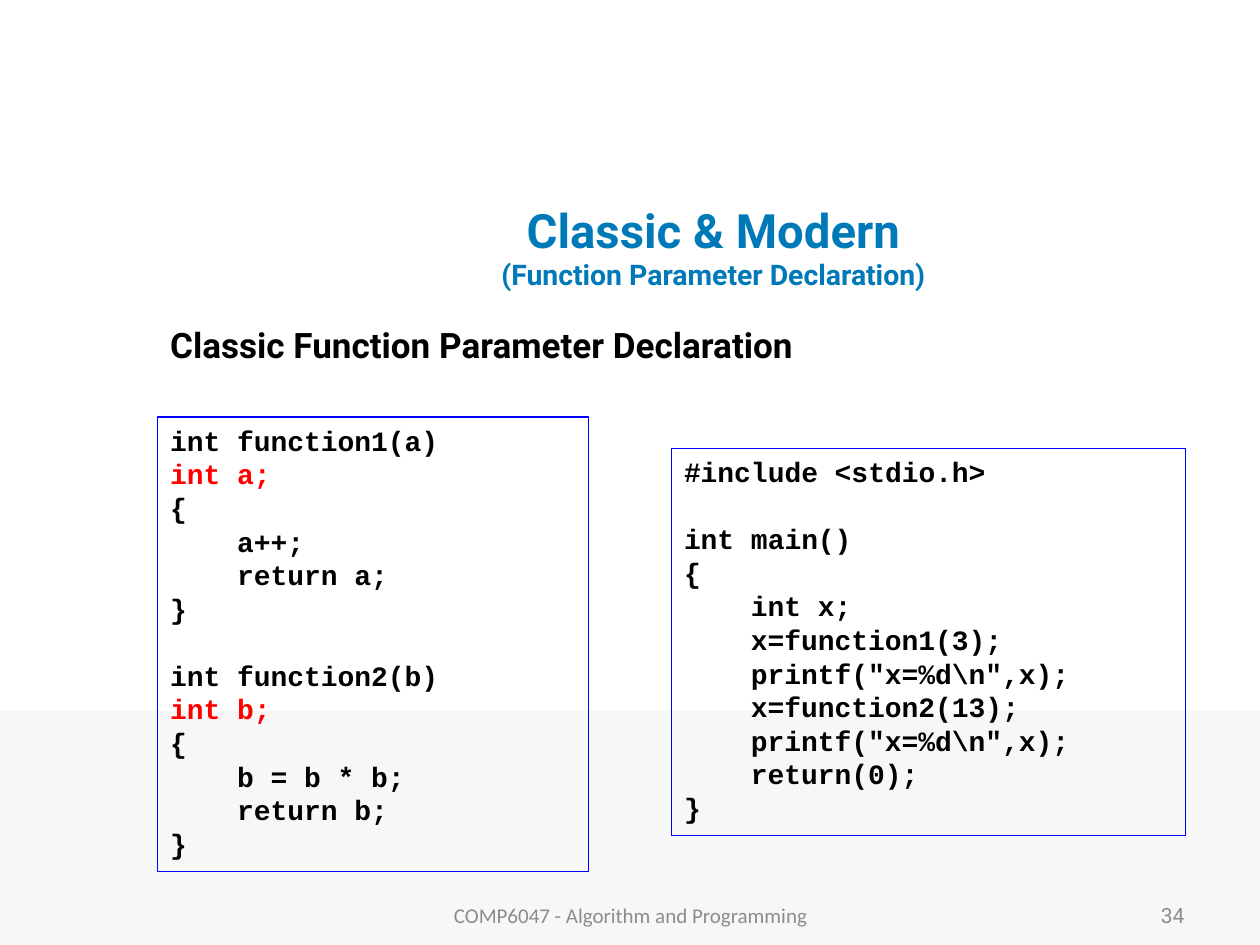
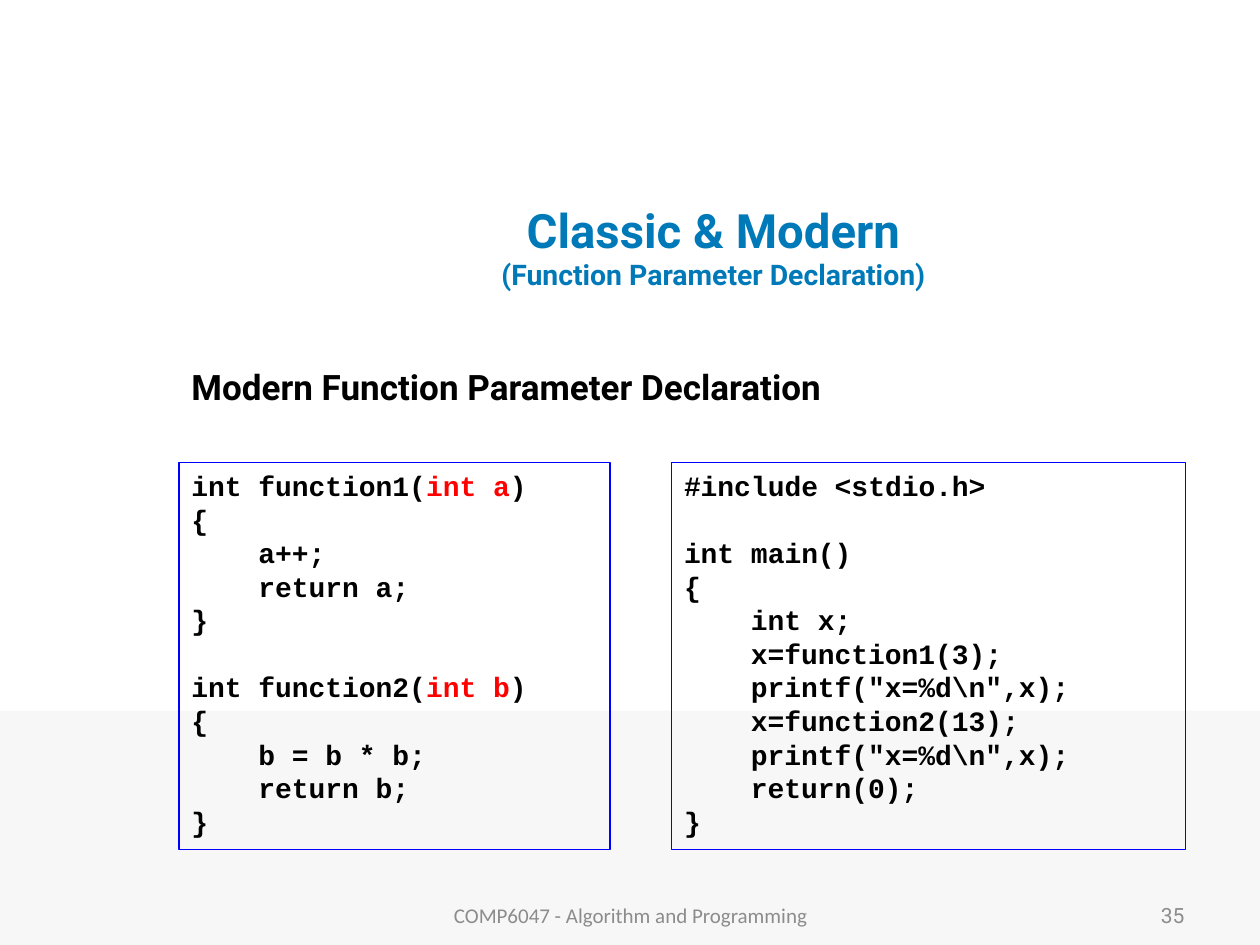
from dataclasses import dataclass

from pptx import Presentation
from pptx.dml.color import RGBColor
from pptx.enum.shapes import MSO_SHAPE
from pptx.enum.text import MSO_ANCHOR, PP_ALIGN
from pptx.util import Cm, Pt

RECTANGLE = MSO_SHAPE.RECTANGLE
TOP, MIDDLE = MSO_ANCHOR.TOP, MSO_ANCHOR.MIDDLE
LEFT, CENTER, RIGHT = PP_ALIGN.LEFT, PP_ALIGN.CENTER, PP_ALIGN.RIGHT
BLANK_LAYOUT = 6
CODE_INDENT = "    "
HIGHLIGHT_MARK = "|"


@dataclass(frozen=True)
class Theme:
    title_color: str = "0079B8"
    text_color: str = "000000"
    highlight_color: str = "FF0000"
    footer_color: str = "8C8C8C"
    band_color: str = "F7F7F7"
    border_color: str = "0000FF"
    main_font: str = "Roboto"
    code_font: str = "Courier New"
    footer_font: str = "Calibri"
    title_size: float = 27
    subtitle_size: float = 16.2
    heading_size: float = 20
    code_size: float = 16
    code_line: float = 19.2
    footer_size: float = 12
    border_width: float = 0.75


TITLE = "Classic & Modern"
SUBTITLE = "(Function Parameter Declaration)"
FOOTER = "COMP6047 - Algorithm and Programming"

MAIN_CODE = r"""#include <stdio.h>

int main()
{
    int x;
    x=function1(3);
    printf("x=%d\n",x);
    x=function2(13);
    printf("x=%d\n",x);
    return(0);
}"""

FUNCTION_BODIES = """{{
    a++;
    return a;
}}

{second}
{{
    b = b * b;
    return b;
}}"""

CLASSIC_CODE = "int function1(a)\n|int a;|\n" + FUNCTION_BODIES.format(
    second="int function2(b)\n|int b;|")
MODERN_CODE = "int function1(|int a|)\n" + FUNCTION_BODIES.format(
    second="int function2(|int b|)")


def add_text(paragraph, text, *, font, size, color, bold=False):
    run = paragraph.add_run()
    run.text = text
    run.font.name = font
    run.font.size = Pt(size)
    run.font.bold = bold
    run.font.color.rgb = RGBColor.from_string(color)


class SlideBuilder:
    def __init__(self, presentation, theme):
        self.presentation = presentation
        self.theme = theme
        self.slide = None

    def new_slide(self, number):
        layout = self.presentation.slide_layouts[BLANK_LAYOUT]
        self.slide = self.presentation.slides.add_slide(layout)
        self.band()
        self.title()
        self.footer(FOOTER, 8.69, 8.05, CENTER, self.theme.footer_font)
        self.footer(str(number), 18.21, 5.92, RIGHT, self.theme.main_font)

    def rectangle(self, left, top, width, height):
        shape = self.slide.shapes.add_shape(
            RECTANGLE, Cm(left), Cm(top), Cm(width), Cm(height))
        shape.shadow.inherit = False
        return shape

    def text_box(self, left, top, width, height, anchor=TOP, alignment=LEFT):
        box = self.slide.shapes.add_textbox(
            Cm(left), Cm(top), Cm(width), Cm(height))
        frame = box.text_frame
        frame.word_wrap = True
        frame.vertical_anchor = anchor
        paragraph = frame.paragraphs[0]
        paragraph.alignment = alignment
        return paragraph

    def band(self):
        shape = self.rectangle(0, 14.33, 25.4, 4.72)
        shape.fill.solid()
        shape.fill.fore_color.rgb = RGBColor.from_string(self.theme.band_color)
        shape.line.fill.background()

    def title(self):
        theme = self.theme
        paragraph = self.text_box(4.88, 3.86, 19, 2.21, MIDDLE, CENTER)
        style = {"font": theme.main_font, "color": theme.title_color, "bold": True}
        add_text(paragraph, TITLE, size=theme.title_size, **style)
        paragraph.add_line_break()
        add_text(paragraph, SUBTITLE, size=theme.subtitle_size, **style)

    def footer(self, text, left, width, alignment, font):
        paragraph = self.text_box(left, 17.93, width, 1.02, MIDDLE, alignment)
        add_text(paragraph, text, font=font, size=self.theme.footer_size,
                 color=self.theme.footer_color)

    def heading(self, text, left, top):
        paragraph = self.text_box(left, top, 20.3, 1.1)
        add_text(paragraph, text, font=self.theme.main_font,
                 size=self.theme.heading_size, color=self.theme.text_color, bold=True)

    def code(self, source, left, top, width):
        theme = self.theme
        lines = source.splitlines()
        shape = self.rectangle(left, top, width, 0.68 * len(lines) + 0.32)
        shape.fill.background()
        shape.line.color.rgb = RGBColor.from_string(theme.border_color)
        shape.line.width = Pt(theme.border_width)
        frame = shape.text_frame
        frame.word_wrap = True
        frame.vertical_anchor = TOP
        paragraph = frame.paragraphs[0]
        gap = 0
        for index, line in enumerate(lines):
            if not line:
                gap = theme.code_line
                continue
            if index:
                paragraph = frame.add_paragraph()
            paragraph.alignment = LEFT
            paragraph.line_spacing = Pt(theme.code_line)
            paragraph.space_before = Pt(gap)
            gap = 0
            if line.startswith(CODE_INDENT):
                paragraph._p.get_or_add_pPr().set("marL", str(int(Cm(1.35))))
            for part, text in enumerate(line.strip().split(HIGHLIGHT_MARK)):
                if text:
                    color = theme.highlight_color if part % 2 else theme.text_color
                    add_text(paragraph, text, font=theme.code_font,
                             size=theme.code_size, color=color, bold=True)


def main():
    presentation = Presentation()
    presentation.slide_width = Cm(25.4)
    presentation.slide_height = Cm(19.05)
    builder = SlideBuilder(presentation, Theme())

    builder.new_slide(34)
    builder.heading("Classic Function Parameter Declaration", 3.18, 6.4)
    builder.code(MAIN_CODE, 13.54, 9.04, 10.36)
    builder.code(CLASSIC_CODE, 3.18, 8.41, 8.69)

    builder.new_slide(35)
    builder.heading("Modern Function Parameter Declaration", 3.61, 7.24)
    builder.code(MAIN_CODE, 13.54, 9.32, 10.36)
    builder.code(MODERN_CODE, 3.61, 9.32, 8.69)

    presentation.save("out.pptx")


if __name__ == "__main__":
    main()
